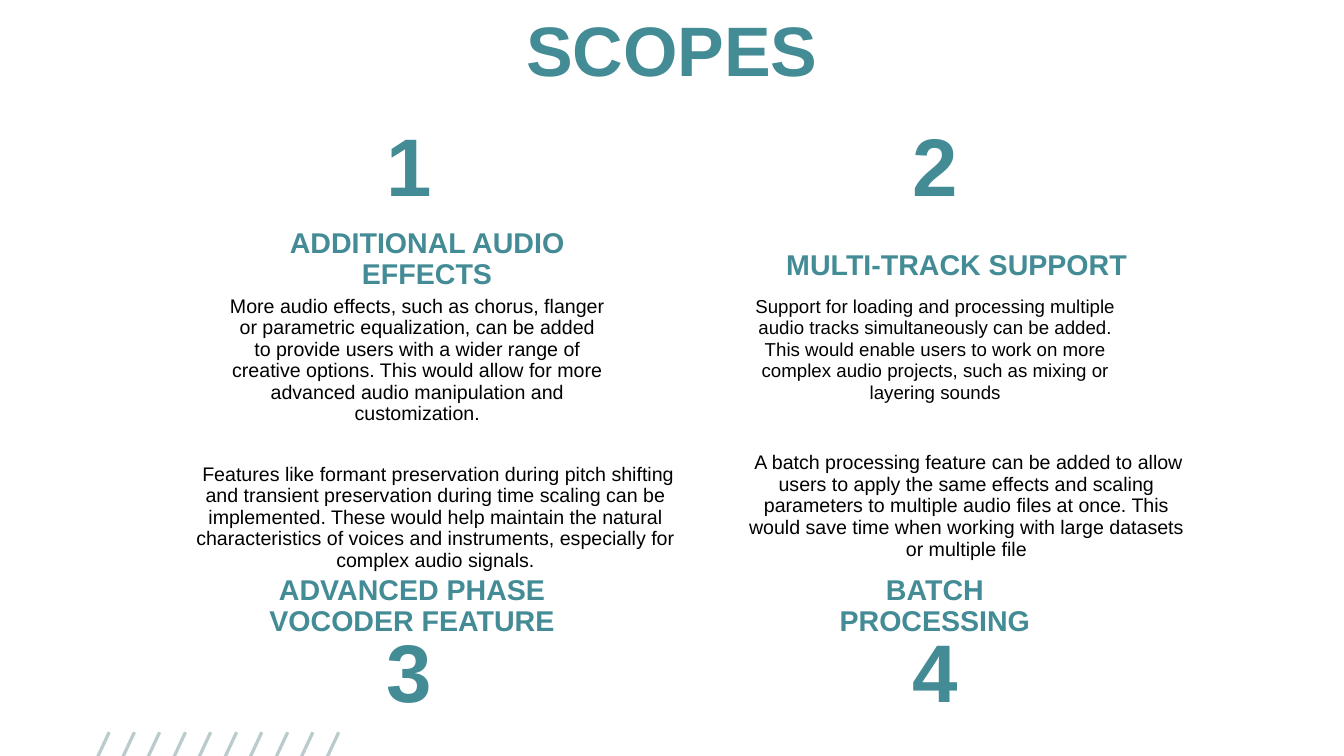
from dataclasses import dataclass

import pptx
import pptx.dml.color
import pptx.enum.shapes
import pptx.enum.text
import pptx.oxml.ns
import pptx.util
from lxml import etree

PX = 9525  # EMU per px, 96 px to the inch


def px(length):
    return pptx.util.Emu(length * PX)


@dataclass(frozen=True)
class TextStyle:
    size: float
    leading: float
    color: str
    bold: bool = False


@dataclass(frozen=True)
class Theme:
    font: str = "Arial"
    hatch_color: str = "BBCBCD"
    hatch_width: float = 3.5
    title: TextStyle = TextStyle(75, 82.5, "438B95", True)
    number: TextStyle = TextStyle(87.5, 96.2, "438B95", True)
    heading: TextStyle = TextStyle(30.6, 33.7, "438B95", True)
    body: TextStyle = TextStyle(21, 23.1, "000000")
    small_body: TextStyle = TextStyle(20, 23.1, "000000")


class SlideBuilder:
    def __init__(self, slide, theme):
        self.slide = slide
        self.theme = theme

    def fill_text(self, shape, text, style, indent=0):
        frame = shape.text_frame
        frame.margin_left = frame.margin_right = 0
        frame.margin_top = frame.margin_bottom = 0
        frame.vertical_anchor = pptx.enum.text.MSO_ANCHOR.TOP
        frame.word_wrap = True
        frame.auto_size = pptx.enum.text.MSO_AUTO_SIZE.SHAPE_TO_FIT_TEXT
        frame.text = text
        paragraph = frame.paragraphs[0]
        if indent:
            paragraph.level = 1
            properties = paragraph._p.get_or_add_pPr()
            properties.set("marL", str(px(indent)))
            properties.set("indent", "0")
        paragraph.alignment = pptx.enum.text.PP_ALIGN.CENTER
        paragraph.line_spacing = pptx.util.Pt(style.leading)
        paragraph.space_before = pptx.util.Pt(0)
        font = paragraph.font
        font.name = self.theme.font
        font.size = pptx.util.Pt(style.size)
        font.bold = style.bold
        font.color.rgb = pptx.dml.color.RGBColor.from_string(style.color)

    def title(self, text, left, top, width, height):
        title = self.slide.shapes.title
        title.left, title.top = px(left), px(top)
        title.width, title.height = px(width), px(height)
        self.fill_text(title, text, self.theme.title)

    def text(self, text, box, style, indent=0):
        shape = self.slide.shapes.add_textbox(*map(px, box))
        self.fill_text(shape, text, style, indent)

    def hatch(self, count, span, foot, head):
        """Draw parallel slanted strokes whose first and last are span apart."""
        group = self.slide.shapes.add_group_shape()
        for index in range(count):
            shift = span * index // (count - 1)
            stroke = group.shapes.add_connector(
                pptx.enum.shapes.MSO_CONNECTOR.STRAIGHT,
                px(foot[0] + shift), px(foot[1]),
                px(head[0] + shift), px(head[1]))
            stroke.line.color.rgb = pptx.dml.color.RGBColor.from_string(
                self.theme.hatch_color)
            stroke.line.width = pptx.util.Pt(self.theme.hatch_width)
            etree.SubElement(stroke._element.spPr,
                             pptx.oxml.ns.qn("a:effectLst"))


def main():
    presentation = pptx.Presentation()
    presentation.slide_width = px(1920)
    presentation.slide_height = px(1080)
    slide = presentation.slides.add_slide(presentation.slide_layouts[5])
    theme = Theme()
    builder = SlideBuilder(slide, theme)

    builder.title("SCOPES", 479, 20, 962, 128)

    # Scopes: heading and box, description, box, style and indent
    scopes = [
        ("ADDITIONAL AUDIO EFFECTS", (356, 325, 508, 96),
         "More audio effects, such as chorus, flanger or parametric "
         "equalization, can be added to provide users with a wider range of "
         "creative options. This would allow for more advanced audio "
         "manipulation and customization.",
         (304, 422, 560, 189), theme.body, 24),
        ("MULTI-TRACK SUPPORT", (1118, 357, 497, 52),
         "Support for loading and processing multiple audio tracks "
         "simultaneously can be added. This would enable users to work on "
         "more complex audio projects, such as mixing or layering sounds",
         (1056, 422, 560, 155), theme.small_body, 0),
        ("ADVANCED PHASE VOCODER FEATURE", (313, 821, 551, 96),
         " Features like formant preservation during pitch shifting and "
         "transient preservation during time scaling can be implemented. "
         "These would help maintain the natural characteristics of voices "
         "and instruments, especially for complex audio signals.",
         (234, 662, 752, 189), theme.body, 24),
        ("BATCH PROCESSING", (1161, 821, 349, 96),
         " A batch processing feature can be added to allow users to apply "
         "the same effects and scaling parameters to multiple audio files at "
         "once. This would save time when working with large datasets or "
         "multiple file",
         (1056, 646, 649, 159), theme.body, 0),
    ]
    for index, (heading, heading_box, body, body_box, style, indent) in enumerate(scopes):
        row, column = divmod(index, 2)
        number_box = (492 + 752 * column, 176 + 722 * row, 184, 149)
        builder.text(str(index + 1), number_box, theme.number)
        builder.text(body, body_box, style, indent)
        builder.text(heading, heading_box, theme.heading)

    # Slanted strokes running off the bottom edge
    builder.hatch(count=10, span=328, foot=(-205, 1820), head=(156, 1046))

    presentation.save("out.pptx")


if __name__ == "__main__":
    main()
